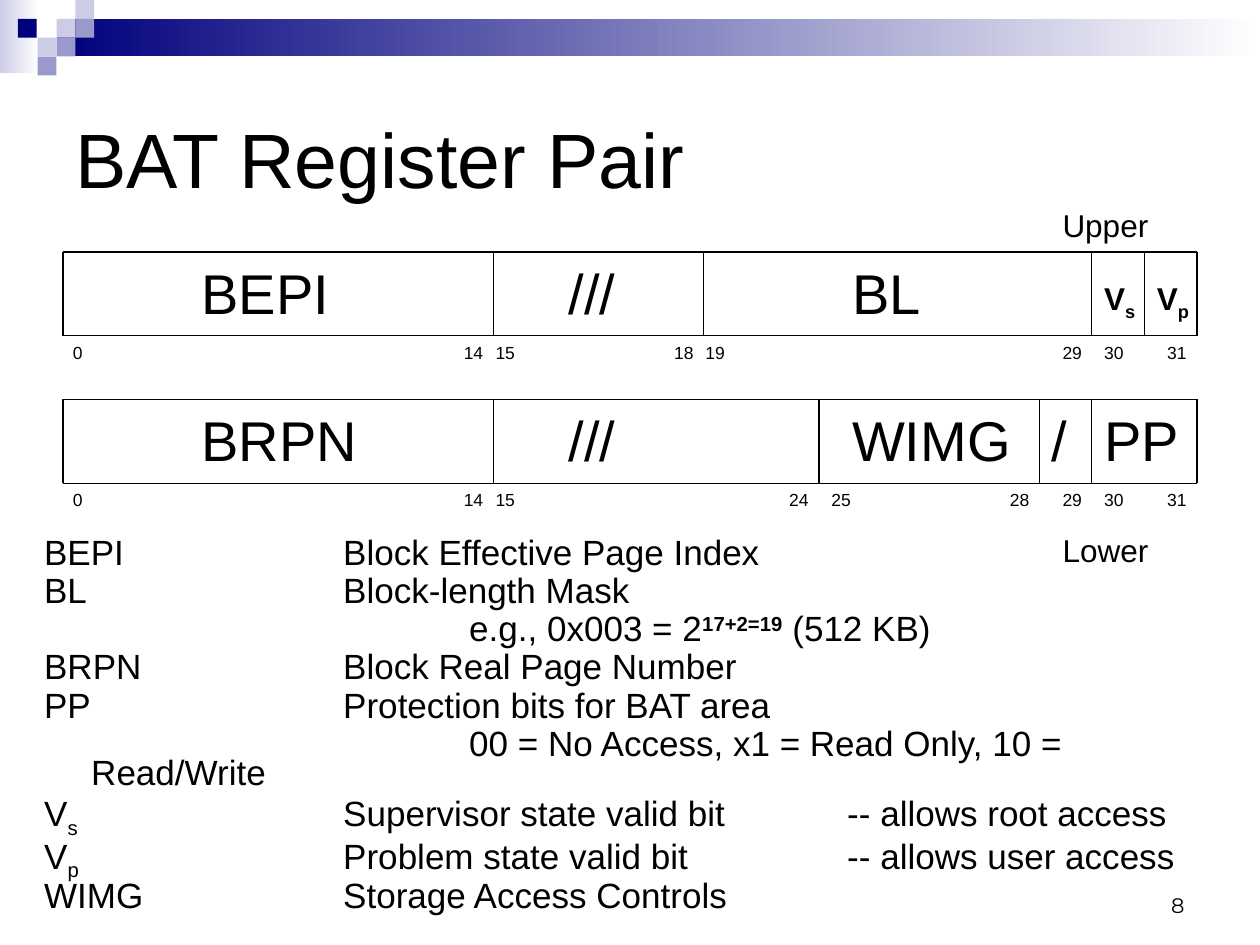
from dataclasses import dataclass

from lxml.etree import SubElement
from pptx import Presentation
from pptx.dml.color import RGBColor as RGB
from pptx.enum.shapes import MSO_CONNECTOR as Conn, MSO_SHAPE as Shape
from pptx.enum.text import MSO_ANCHOR as Anchor, MSO_AUTO_SIZE as AutoSize, PP_ALIGN as Align
from pptx.oxml.ns import qn
from pptx.util import Cm, Pt


@dataclass(frozen=True)
class Theme:
    font: str = "Arial"
    number_font: str = "Montserrat"
    ink: RGB = RGB(0, 0, 0)
    white: RGB = RGB(255, 255, 255)
    navy: RGB = RGB(0x00, 0x00, 0x7D)
    mid: RGB = RGB(0x99, 0x99, 0xCC)
    pale: RGB = RGB(0xCC, 0xCC, 0xE6)
    title: int = 44
    field: int = 32
    body: int = 20
    caption: int = 18
    page: int = 12
    bit: int = 10
    rule: float = 0.75


@dataclass(frozen=True)
class Run:
    text: str
    baseline: int = 0  # percent of the type size, below zero for subscript
    bold: bool = False


@dataclass(frozen=True)
class Label:
    runs: list[Run]
    left: float
    width: float
    small: bool = False


@dataclass(frozen=True)
class Register:
    top: float
    dividers: list[float]
    fields: list[Label]
    bits: list[tuple[str, float, float]]  # number, left, width


T = Theme()
LEFT, RIGHT, ROW_H = 1.27, 24.13, 1.69
TAB = 2.54


def add_text(s, paragraphs: list[list[Run]], left: float, top: float, width: float,
             height: float, *, size: int, font: str = T.font, align=Align.LEFT,
             anchor=Anchor.TOP, grow: bool = False, line_spacing: float | None = None,
             space_before: float = 0, hanging: float = 0, tabs: int = 0) -> None:
    tf = s.shapes.add_textbox(Cm(left), Cm(top), Cm(width), Cm(height)).text_frame
    tf.word_wrap = True
    tf.vertical_anchor = anchor
    tf.auto_size = AutoSize.SHAPE_TO_FIT_TEXT if grow else AutoSize.NONE
    for i, runs in enumerate(paragraphs):
        p = tf.add_paragraph() if i else tf.paragraphs[0]
        p.alignment = align
        if line_spacing:
            p.line_spacing = line_spacing
        if i and space_before:
            p.space_before = Pt(space_before)
        pPr = p._p.get_or_add_pPr()
        if hanging:
            pPr.set("marL", str(Cm(hanging)))
            pPr.set("indent", str(-Cm(hanging)))
        if tabs:
            pPr.set("defTabSz", str(Cm(TAB)))
            stops = SubElement(pPr, qn("a:tabLst"))
            for n in range(tabs):
                SubElement(stops, qn("a:tab"), pos=str(Cm(TAB * n)), algn="l")
        for run in runs:
            r = p.add_run()
            r.text = run.text
            r.font.name, r.font.size, r.font.bold = font, Pt(size), run.bold
            r.font.color.rgb = T.ink
            if run.baseline:
                r._r.get_or_add_rPr().set("baseline", str(run.baseline * 1000))


def add_block(s, left: float, top: float, width: float, height: float,
              color: RGB, fade_to: RGB | None = None) -> None:
    sp = s.shapes.add_shape(Shape.RECTANGLE, Cm(left), Cm(top), Cm(width), Cm(height))
    sp.shadow.inherit = False
    sp.line.fill.background()
    if fade_to is None:
        sp.fill.solid()
        sp.fill.fore_color.rgb = color
        return
    sp.fill.gradient()
    sp.fill.gradient_angle = 0
    for stop, rgb in zip(sp.fill.gradient_stops, (color, fade_to)):
        stop.color.rgb = rgb


def add_line(s, x1: float, y1: float, x2: float, y2: float) -> None:
    c = s.shapes.add_connector(Conn.STRAIGHT, Cm(x1), Cm(y1), Cm(x2), Cm(y2))
    c.line.color.rgb = T.ink
    c.line.width = Pt(T.rule)
    SubElement(c._element.spPr, qn("a:effectLst"))


def add_register(s, reg: Register) -> None:
    bottom = reg.top + ROW_H
    for y in (reg.top, bottom):
        add_line(s, LEFT, y, RIGHT, y)
    for x in (LEFT, *reg.dividers, RIGHT):
        add_line(s, x, reg.top, x, bottom)
    for f in reg.fields:
        drop, height, size = (0.43, 1.12, T.caption) if f.small else (0, 1.62, T.field)
        add_text(s, [f.runs], f.left, reg.top + drop, f.width, height, size=size, grow=True)
    for number, left, width in reg.bits:
        add_text(s, [[Run(number)]], left, bottom, width, 0.69, size=T.bit, grow=True)


def valid_bit(mode: str, left: float) -> Label:
    return Label([Run("V", bold=True), Run(mode, -25, True)], left, 1.27, small=True)


# Bit numbers found under both registers
SHARED_BITS = [("0", 1.22, 0.69), ("14", 9.1, 1.06), ("15", 9.74, 1.06),
               ("29", 21.17, 1.48), ("30", 22.01, 1.06), ("31", 23.28, 1.06)]

UPPER = Register(
    5.08, [9.95, 14.18, 22.01, 23.07],
    [Label([Run("BEPI")], 3.81, 4.45), Label([Run("///")], 11.22, 1.69),
     Label([Run("BL")], 16.93, 2.33), valid_bit("s", 22.01), valid_bit("p", 23.07)],
    SHARED_BITS + [("18", 13.34, 1.06), ("19", 13.97, 1.06)])

LOWER = Register(
    8.05, [9.95, 16.51, 20.96, 22.01],
    [Label([Run("BRPN")], 3.81, 4.45), Label([Run("///")], 11.22, 1.69),
     Label([Run("WIMG")], 16.93, 4.02), Label([Run("/")], 20.95, 1.69),
     Label([Run("PP")], 22.01, 2.33)],
    SHARED_BITS + [("24", 15.66, 1.06), ("25", 16.51, 1.06), ("28", 20.11, 1.48)])

GLOSSARY = [
    [Run("BEPI\t\tBlock Effective Page Index")],
    [Run("BL\t\t\tBlock-length Mask")],
    [Run("\t\t\t\te.g., 0x003 = 2"), Run("17+2=19", 30, True), Run(" (512 KB)")],
    [Run("BRPN\t\tBlock Real Page Number")],
    [Run("PP\t\t\tProtection bits for BAT area")],
    [Run("\t\t\t\t00 = No Access, x1 = Read Only, 10 = Read/Write")],
    [Run("V"), Run("s\t\t\t", -25), Run("Supervisor state valid bit \t-- allows root access")],
    [Run("V"), Run("p\t\t\t", -25), Run("Problem state valid bit \t\t-- allows user access")],
    [Run("WIMG\t\tStorage Access Controls")],
]


def main() -> None:
    prs = Presentation()
    prs.slide_width, prs.slide_height = Cm(25.4), Cm(19.05)
    s = prs.slides.add_slide(prs.slide_layouts[6])

    # Banner with its mosaic of squares
    add_block(s, 0, 0, 0.79, 1.47, T.pale, T.white)
    add_block(s, 1.14, 0.38, 24.26, 0.76, T.navy, T.white)
    unit = 0.38
    for x, row, color in ((1.14, 1, T.pale), (1.52, 0, T.pale), (1.52, 1, T.mid),
                          (0.76, 2, T.pale), (0.36, 1, T.navy), (1.14, 2, T.mid),
                          (0.76, 3, T.mid)):
        add_block(s, x, row * unit, unit, unit, color)

    # Title and glossary
    add_text(s, [[Run("BAT Register Pair")]], 1.27, 1.27, 22.86, 3.81,
             size=T.title, anchor=Anchor.MIDDLE)
    add_text(s, GLOSSARY, 0.64, 10.8, 23.92, 7.82, size=T.body, line_spacing=0.7,
             space_before=5, hanging=0.95, tabs=8)

    # Registers and their captions
    for reg, caption, top in ((UPPER, "Upper", 4.02), (LOWER, "Lower", 10.58)):
        add_register(s, reg)
        add_text(s, [[Run(caption)]], 21.17, top, 4.23, 1.02, size=T.caption, grow=True)

    # Page number
    add_text(s, [[Run("8")]], 18.2, 17.36, 5.93, 1.27, size=T.page, font=T.number_font,
             align=Align.RIGHT, anchor=Anchor.BOTTOM)

    prs.save("out.pptx")


if __name__ == "__main__":
    main()
